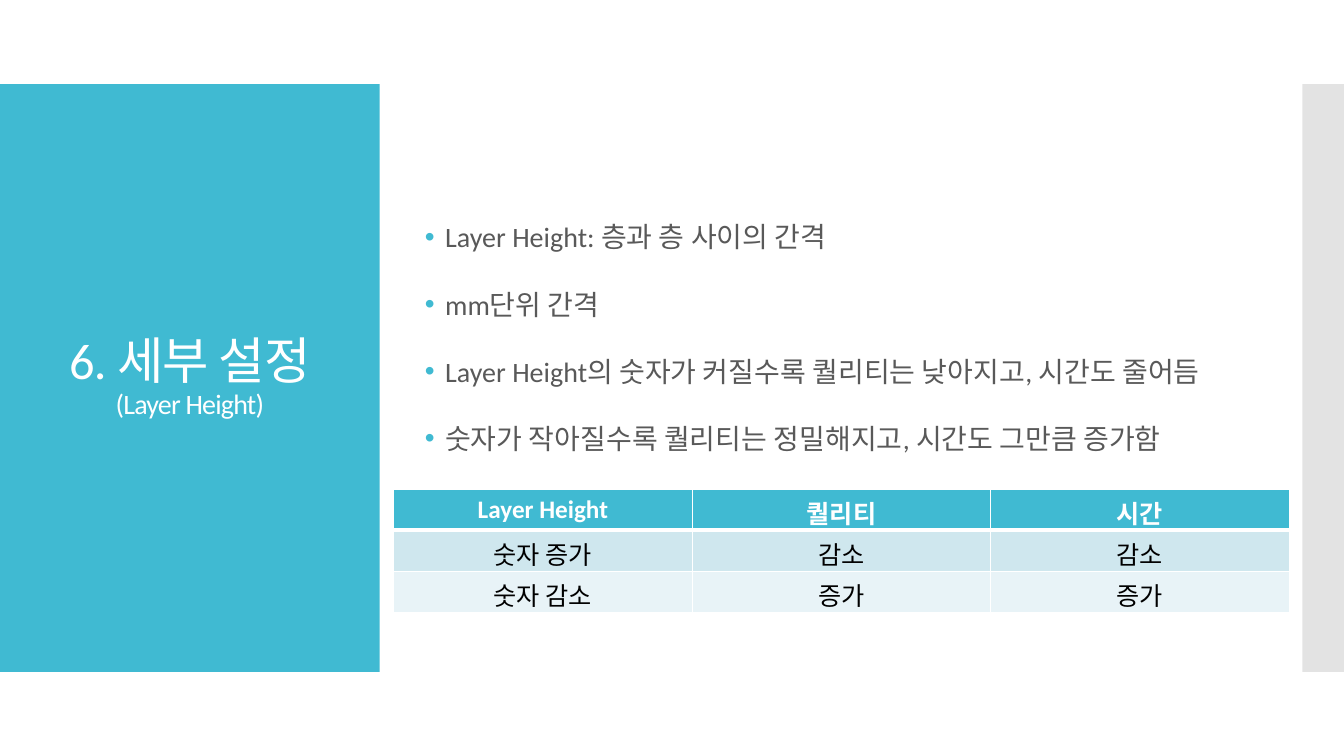
from lxml.etree import SubElement
from pptx import Presentation
from pptx.dml.color import RGBColor
from pptx.enum.shapes import MSO_SHAPE as Preset
from pptx.enum.text import MSO_ANCHOR as Anchor, PP_ALIGN as Align
from pptx.oxml.ns import qn
from pptx.util import Cm, Pt

TEAL, WHITE, GRAY, BLACK = "40BAD2", "FFFFFF", "595959", "000000"
BAND_TOP, BAND_HEIGHT = 2.12, 14.81
BULLETS = [
    "Layer Height: 층과 층 사이의 간격",
    "mm단위 간격",
    "Layer Height의 숫자가 커질수록 퀄리티는 낮아지고, 시간도 줄어듬",
    "숫자가 작아질수록 퀄리티는 정밀해지고, 시간도 그만큼 증가함",
]
ROWS = [
    ("Layer Height", "퀄리티", "시간"),
    ("숫자 증가", "감소", "감소"),
    ("숫자 감소", "증가", "증가"),
]
ROW_FILLS = [TEAL, "CFE7EE", "E8F3F7"]


def set_fill(target, color):
    """Give a shape or a cell a solid fill."""
    target.fill.solid()
    target.fill.fore_color.rgb = RGBColor.from_string(color)


def add_text(paragraph, text, size=20, color=WHITE, bold=False, align=None, spacing=None):
    """Add a formatted run to a paragraph."""
    run = paragraph.add_run()
    run.text = text
    font = run.font
    font.name, font.size, font.bold = "Calibri", Pt(size), bold
    font.color.rgb = RGBColor.from_string(color)
    if align is not None:
        paragraph.alignment = align
    if spacing is not None:
        run._r.get_or_add_rPr().set("spc", str(spacing))


def add_bullet(paragraph, color, indent):
    """Give a paragraph a coloured bullet with a hanging indent."""
    properties = paragraph._p.get_or_add_pPr()
    properties.set("marL", str(indent))
    properties.set("indent", str(-indent))
    bullet_color = SubElement(properties, qn("a:buClr"))
    SubElement(bullet_color, qn("a:srgbClr"), val=color)
    SubElement(properties, qn("a:buFont"), typeface="Arial")
    SubElement(properties, qn("a:buChar"), char="•")


def add_panel(slide, left, top, width, height, color, opacity=100):
    """Draw a plain rectangle without an outline."""
    panel = slide.shapes.add_shape(Preset.RECTANGLE, Cm(left), Cm(top), Cm(width), Cm(height))
    panel.shadow.inherit = False
    set_fill(panel, color)
    panel.line.fill.background()
    if opacity < 100:
        color_node = panel._element.spPr.find(f"{qn('a:solidFill')}/{qn('a:srgbClr')}")
        SubElement(color_node, qn("a:alpha"), val=str(opacity * 1000))


def add_frame(slide, left, top, width, height):
    """Add a wrapping, vertically centred text box and return its frame."""
    frame = slide.shapes.add_textbox(Cm(left), Cm(top), Cm(width), Cm(height)).text_frame
    frame.word_wrap = True
    frame.vertical_anchor = Anchor.MIDDLE
    return frame


def add_title_panel(slide, left, top, width, height):
    """Draw the coloured side panel with the slide title."""
    add_panel(slide, left, top, width, height, TEAL)
    frame = add_frame(slide, left + 0.7, top + 1, width - 1.4, height - 2)
    paragraph = frame.paragraphs[0]
    paragraph.line_spacing = 0.9
    add_text(paragraph, "6. 세부 설정", size=36, align=Align.CENTER, spacing=-60)
    paragraph.add_line_break()
    add_text(paragraph, "(Layer Height)", spacing=-60)


def add_bullet_list(slide, left, top, width, height):
    """Place the bulleted explanation of the setting."""
    frame = add_frame(slide, left, top, width, height)
    for index, text in enumerate(BULLETS):
        paragraph = frame.add_paragraph() if index else frame.paragraphs[0]
        add_bullet(paragraph, TEAL, Cm(0.51))
        paragraph.line_spacing = 1.5
        if index:
            paragraph.space_before = Pt(12)
        add_text(paragraph, text, color=GRAY)


def set_borders(cell, **widths):
    """Give a cell white borders of the named widths in points."""
    properties = cell._tc.get_or_add_tcPr()
    for side, width in widths.items():
        line = SubElement(properties, qn(f"a:ln{side}"), w=str(Pt(width)))
        SubElement(SubElement(line, qn("a:solidFill")), qn("a:srgbClr"), val=WHITE)


def add_effect_table(slide, left, top, width, height):
    """Place the table of effects on quality and time."""
    table = slide.shapes.add_table(
        len(ROWS), len(ROWS[0]), Cm(left), Cm(top), Cm(width), Cm(height)
    ).table
    for row_index, texts in enumerate(ROWS):
        header = row_index == 0
        for column_index, text in enumerate(texts):
            cell = table.cell(row_index, column_index)
            set_borders(cell, L=1, R=1, T=3 if row_index == 1 else 1, B=3 if header else 1)
            set_fill(cell, ROW_FILLS[row_index])
            cell.vertical_anchor = Anchor.MIDDLE
            add_text(cell.text_frame.paragraphs[0], text, size=18, bold=header,
                     color=WHITE if header else BLACK, align=Align.CENTER)


def main():
    """Build and save the slide."""
    presentation = Presentation()
    presentation.slide_width, presentation.slide_height = Cm(33.87), Cm(19.05)
    slide = presentation.slides.add_slide(presentation.slide_layouts[6])
    add_title_panel(slide, 0, BAND_TOP, 9.57, BAND_HEIGHT)
    add_panel(slide, 32.82, BAND_TOP, 1.05, BAND_HEIGHT, "C8C8C8", opacity=50)
    add_bullet_list(slide, 10.46, 3.2, 21.44, 10.19)
    add_effect_table(slide, 9.92, 12.33, 22.57, 3.1)
    presentation.save("out.pptx")


if __name__ == "__main__":
    main()
